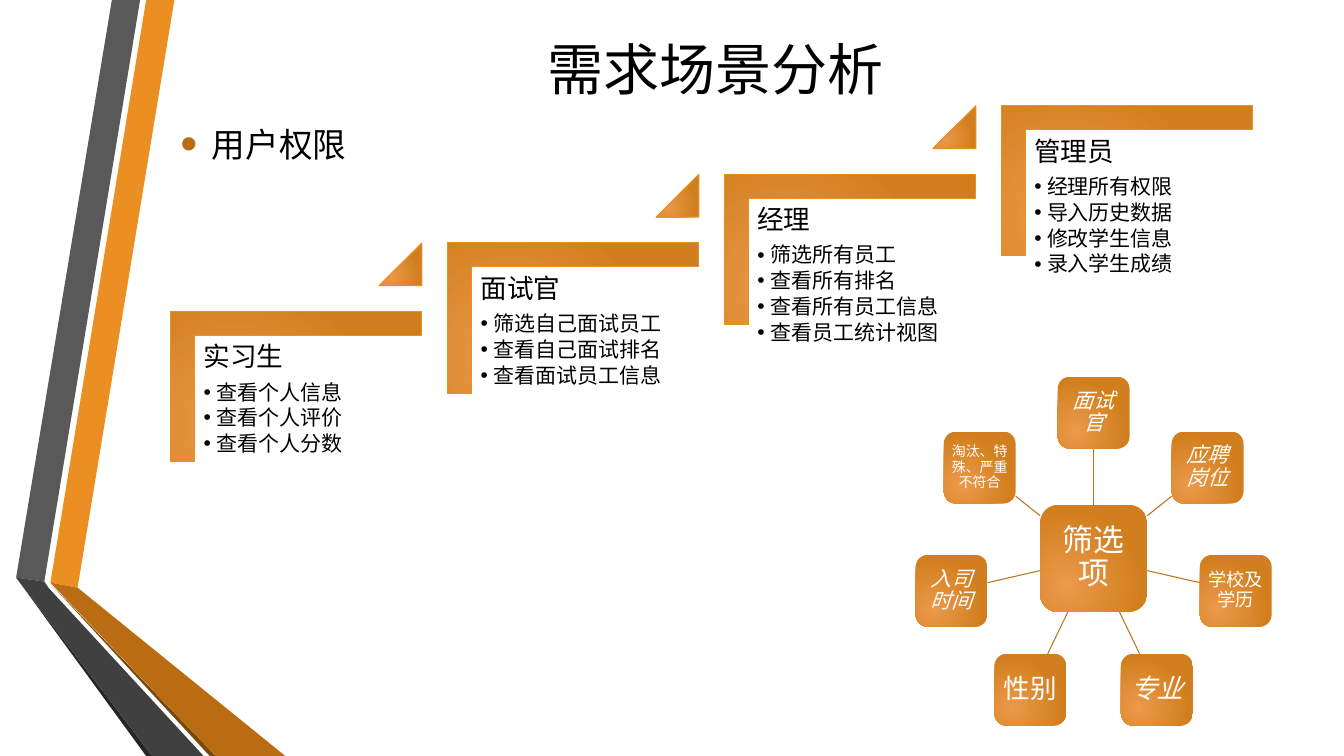
from math import cos, radians, sin

from lxml.etree import SubElement
from pptx import Presentation
from pptx.dml.color import RGBColor
from pptx.enum.shapes import MSO_CONNECTOR, MSO_SHAPE
from pptx.enum.text import MSO_ANCHOR, PP_ALIGN
from pptx.oxml.ns import qn
from pptx.util import Inches, Pt

COLS, ROWS = 160, 90
WIDE, HIGH = Inches(13.33), Inches(7.5)
FONT = "Calibri"
HUES = {
    "ink": "000000", "white": "FFFFFF", "glow": "EC994A", "amber": "D17F1E",
    "edge": "EB8F22", "spoke": "BC731B", "rust": "B96C11", "brown": "7B480B",
    "grey": "595959", "dark": "404040", "black": "262626",
}
BANDS = [
    ("edge", [(6, 69.36), (9.24, 69.96), (20.76, 0), (17.4, 0)]),
    ("grey", [(16.68, 0), (13.32, 0), (1.92, 68.76), (5.28, 69.24)]),
    ("black", [(1.92, 68.76), (17.4, 90), (18.12, 90)]),
    ("brown", [(6, 69.48), (24.96, 90), (25.68, 90)]),
    ("rust", [(6, 69.36), (25.68, 90), (33.96, 90), (9.24, 69.96)]),
    ("dark", [(1.92, 68.76), (18.12, 90), (24.24, 90), (5.76, 69.96), (5.28, 69.24)]),
]
ROLES = [
    ("实习生", ["查看个人信息", "查看个人评价", "查看个人分数"]),
    ("面试官", ["筛选自己面试员工", "查看自己面试排名", "查看面试员工信息"]),
    ("经理", ["筛选所有员工", "查看所有排名", "查看所有员工信息", "查看员工统计视图"]),
    ("管理员", ["经理所有权限", "导入历史数据", "修改学生信息", "录入学生成绩"]),
]
NODES = [
    ("面试官", 15, True), ("应聘岗位", 15, True), ("学校及学历", 13, False),
    ("专业", 19, True), ("性别", 19, False), ("入司时间", 15, True),
    ("淘汰、特殊、严重不符合", 10, False),
]


def col(n):
    """Turn grid columns into a length."""
    return round(WIDE * n / COLS)


def row(n):
    """Turn grid rows into a length."""
    return round(HIGH * n / ROWS)


def hue(name):
    """Look up a colour by name."""
    return RGBColor.from_string(HUES[name])


def write(frame, text, size, color="ink", align=PP_ALIGN.LEFT, slant=False,
          lead=None, after=0, mark=None, hang=0, scale=100):
    """Add one paragraph of text, with a bullet if hang is set."""
    para = frame.add_paragraph() if frame.text else frame.paragraphs[0]
    para.alignment = align
    para.space_after = Pt(after)
    if lead:
        para.line_spacing = lead
    run = para.add_run()
    run.text = text
    run.font.name = FONT
    run.font.size = Pt(size)
    run.font.italic = slant
    run.font.color.rgb = hue(color)
    if hang:
        props = para._p.get_or_add_pPr()
        props.set("marL", str(col(hang)))
        props.set("indent", str(-col(hang)))
        tint = SubElement(props, qn("a:buClr"))
        SubElement(tint, qn("a:srgbClr")).set("val", HUES[mark or color])
        SubElement(props, qn("a:buSzPct")).set("val", str(scale * 1000))
        SubElement(props, qn("a:buFont")).set("typeface", "Arial")
        SubElement(props, qn("a:buChar")).set("char", "•")


def setup(shape, inset=None, anchor=MSO_ANCHOR.MIDDLE):
    """Wrap and anchor the text of a shape and return its frame."""
    frame = shape.text_frame
    frame.word_wrap = True
    frame.vertical_anchor = anchor
    if inset is not None:
        frame.margin_left = frame.margin_right = col(inset)
        frame.margin_top = frame.margin_bottom = row(inset)
    return frame


def box(slide, x, y, w, h, **layout):
    """Add a text box and return its frame."""
    return setup(slide.shapes.add_textbox(col(x), row(y), col(w), row(h)), **layout)


def block(slide, kind, x, y, w, h, edge=None):
    """Add a preset shape with the amber glow."""
    shape = slide.shapes.add_shape(kind, col(x), row(y), col(w), row(h))
    shape.shadow.inherit = False
    shape.fill.gradient()
    for stop, name, place in zip(shape.fill.gradient_stops, ("glow", "amber"), (0, 1)):
        stop.color.rgb = hue(name)
        stop.position = place
    grad = shape._element.spPr.find(qn("a:gradFill"))
    grad.remove(grad.find(qn("a:lin")))
    ray = SubElement(grad, qn("a:path"))
    ray.set("path", "circle")
    rect = SubElement(ray, qn("a:fillToRect"))
    for side, share in zip("ltrb", (50, 100, 100, 50)):
        rect.set(side, str(share * 1000))
    if edge:
        shape.line.color.rgb = hue(edge)
        shape.line.width = Pt(0.75)
    else:
        shape.line.fill.background()
    return shape


def band(slide, color, points):
    """Draw one flat polygon of the ribbon."""
    spots = [(col(x), row(y)) for x, y in points]
    pen = slide.shapes.build_freeform(*spots[0])
    pen.add_line_segments(spots[1:])
    shape = pen.convert_to_shape()
    shape.shadow.inherit = False
    shape.fill.solid()
    shape.fill.fore_color.rgb = hue(color)
    shape.line.fill.background()


def step(slide, x, y, role, rights, last):
    """Draw one stair with its role and rights."""
    stair = block(slide, MSO_SHAPE.CORNER, x + 6, y - 6, 17.88, 29.88, "edge")
    stair.rotation = 90
    stair.adjustments[0] = stair.adjustments[1] = 0.16
    frame = box(slide, x + 3, y + 2.9, 26.88, 23.64, inset=0.96, anchor=MSO_ANCHOR.TOP)
    write(frame, role, 19, lead=0.9, after=6.65)
    for right in rights:
        write(frame, right, 15, lead=0.9, after=2.25, hang=1.5)
    if not last:
        wedge = block(slide, MSO_SHAPE.ISOSCELES_TRIANGLE, x + 24.85, y - 8.16, 5.1, 5.1, "edge")
        wedge.adjustments[0] = 1


def node(slide, x, y, side, text, size, slant=False, inset=0.36):
    """Draw a rounded square centred on a point."""
    tile = block(slide, MSO_SHAPE.ROUNDED_RECTANGLE, x - side / 2, y - side / 2, side, side)
    write(setup(tile, inset), text, size, color="white", align=PP_ALIGN.CENTER,
          slant=slant, lead=0.9)


def spoke(slide, x1, y1, x2, y2):
    """Draw a thin line between two points."""
    line = slide.shapes.add_connector(
        MSO_CONNECTOR.STRAIGHT, col(x1), row(y1), col(x2), row(y2))
    line.line.color.rgb = hue("spoke")
    line.line.width = Pt(0.75)
    SubElement(line._element.spPr, qn("a:effectLst"))


def wheel(slide, x, y, reach, hub, tile):
    """Draw the hub and its ring of nodes."""
    node(slide, x, y, hub, "筛选项", 22, inset=0.72)
    for i, (text, size, slant) in enumerate(NODES):
        turn = radians(360 * i / len(NODES))
        dx, dy = sin(turn), -cos(turn)
        peak = 2 * max(abs(dx), abs(dy))
        near, far = hub / peak, reach - tile / peak
        spoke(slide, x + dx * near, y + dy * near, x + dx * far, y + dy * far)
        node(slide, x + dx * reach, y + dy * reach, tile, text, size, slant)


def main():
    """Build the slide and save it."""
    deck = Presentation()
    deck.slide_width, deck.slide_height = WIDE, HIGH
    slide = deck.slides.add_slide(deck.slide_layouts[6])
    for color, points in BANDS:
        band(slide, color, points)
    write(box(slide, 19.44, -3.36, 131.5, 23.04), "需求场景分析", 40, align=PP_ALIGN.CENTER)
    write(box(slide, 20.28, 14, 131.5, 6.3), "用户权限", 24, mark="rust", hang=3.75, scale=145)
    for i, (role, rights) in enumerate(ROLES):
        step(slide, 20.28 + 32.97 * i, 37.08 - 8.16 * i, role, rights, i == len(ROLES) - 1)
    wheel(slide, 130.2, 66.48, 17.35, 12.75, 8.55)
    deck.save("out.pptx")


main()
